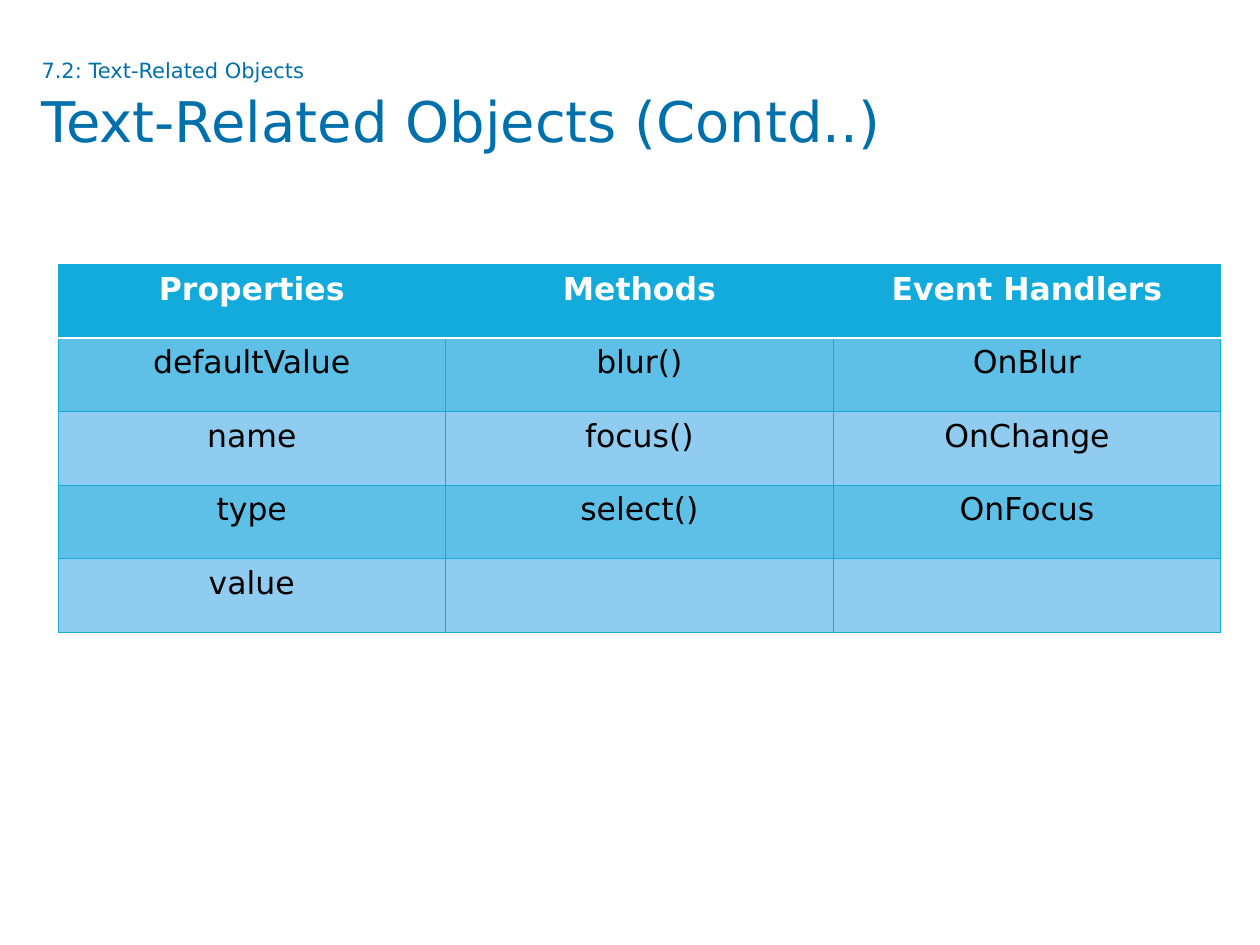
from lxml import etree
from pptx import Presentation
from pptx.dml.color import RGBColor
from pptx.enum.text import MSO_ANCHOR, PP_ALIGN
from pptx.oxml.ns import qn
from pptx.util import Inches, Pt

CENTER = PP_ALIGN.CENTER
TOP = MSO_ANCHOR.TOP
FONT = "DejaVu Sans"
WHITE = RGBColor(0xFF, 0xFF, 0xFF)
BLACK = RGBColor(0x00, 0x00, 0x00)
TITLE_BLUE = RGBColor(0x00, 0x70, 0xAD)
CYAN = RGBColor(0x12, 0xAB, 0xDB)
BAND_DARK = RGBColor(0x5E, 0xBF, 0xE7)
BAND_LIGHT = RGBColor(0x90, 0xCB, 0xF0)

HEADING = [("7.2: Text-Related Objects ", 12), ("Text-Related Objects (Contd..)", 32)]
ROWS = [
    ("Properties", "Methods", "Event Handlers"),
    ("defaultValue", "blur()", "OnBlur"),
    ("name", "focus()", "OnChange"),
    ("type", "select()", "OnFocus"),
    ("value", "", ""),
]


def add_span(para, text, color, **formats):
    span = para.add_run()
    span.text = text
    span.font.color.rgb = color
    for name, value in {"name": FONT, **formats}.items():
        setattr(span.font, name, value)


def set_border(cell, side, color, width):
    properties = cell._tc.get_or_add_tcPr()
    line = etree.Element(qn(f"a:ln{side}"), w=str(Pt(width)))
    fill = etree.SubElement(line, qn("a:solidFill"))
    etree.SubElement(fill, qn("a:srgbClr"), val=str(color))
    fill_position = len(properties) - 1
    properties.insert(fill_position, line)


def add_title(page, left, top, width, height):
    frame = page.shapes.add_textbox(left, top, width, height).text_frame
    formats = {"word_wrap": True, "vertical_anchor": TOP, "margin_left": 0,
               "margin_top": 0, "margin_right": 0, "margin_bottom": 0}
    for name, value in formats.items():
        setattr(frame, name, value)
    para = frame.paragraphs[0]
    para.line_spacing = 1.05
    for index, (text, size) in enumerate(HEADING):
        if index:
            para.add_line_break()
        add_span(para, text, TITLE_BLUE, size=Pt(size))


def add_object_table(page, left, top, width, height):
    table = page.shapes.add_table(len(ROWS), len(ROWS[0]), left, top, width, height).table
    for row_index, row in enumerate(ROWS):
        is_header = row_index == 0
        band = BAND_DARK if row_index % 2 else BAND_LIGHT
        for column_index, text in enumerate(row):
            cell = table.cell(row_index, column_index)
            cell.fill.solid()
            cell.fill.fore_color.rgb = CYAN if is_header else band
            for side in "LRTB":
                divides_header = (row_index, side) in ((0, "B"), (1, "T"))
                color, line_width = (WHITE, 1) if divides_header else (CYAN, 0.5)
                set_border(cell, side, color, line_width)
            para = cell.text_frame.paragraphs[0]
            para.alignment = CENTER
            if text:
                add_span(para, text, WHITE if is_header else BLACK,
                         size=Pt(18), bold=is_header)


def main():
    deck = Presentation()
    deck.slide_width, deck.slide_height = Inches(10), Inches(7.5)
    page = deck.slides.add_slide(deck.slide_layouts[6])
    add_object_table(page, Inches(0.46), Inches(2.1), Inches(9.23), Inches(2.92))
    add_title(page, Inches(0.33), Inches(0.45), Inches(9.33), Inches(0.94))
    deck.save("out.pptx")


if __name__ == "__main__":
    main()
